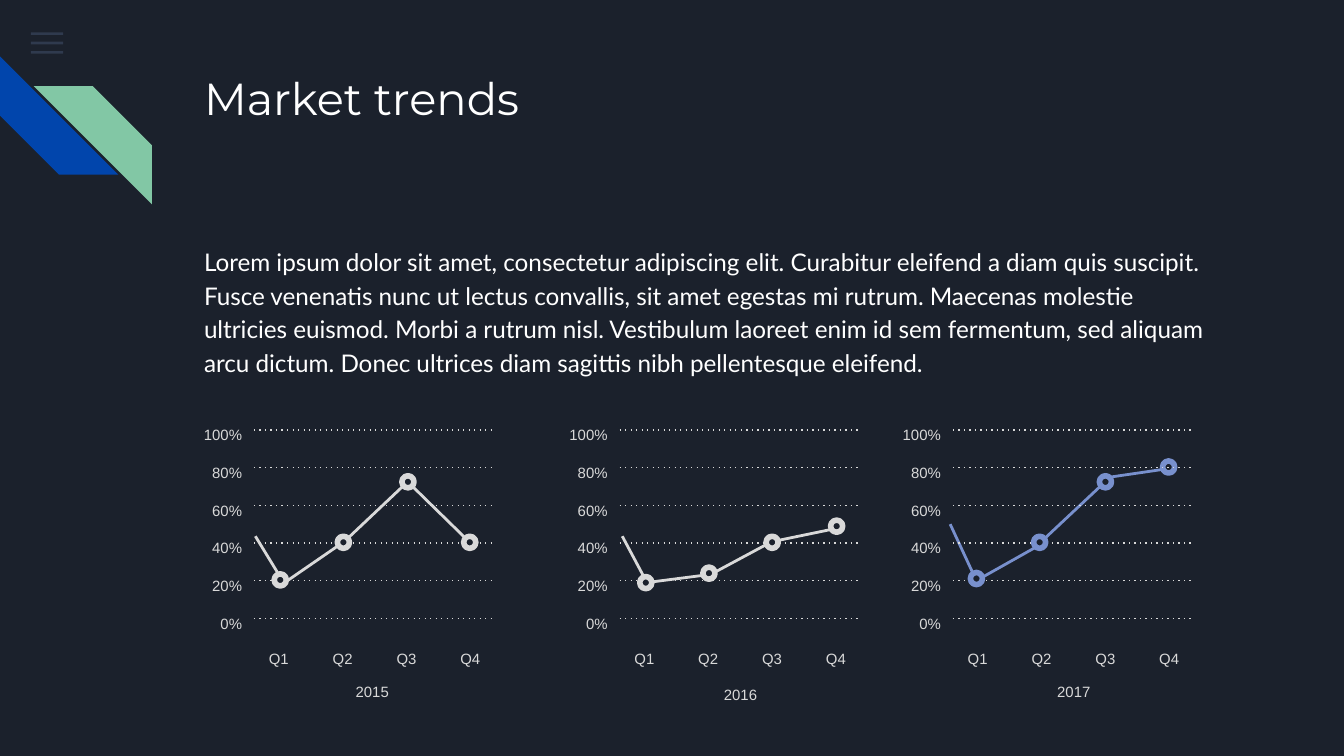
import pptx
import pptx.dml.color
import pptx.enum.shapes
import pptx.enum.text
import pptx.oxml.ns
import pptx.util
from lxml import etree
from pptx.util import Inches

COLORS = {
    "night": "1B212C",
    "menu": "55688B",
    "blue": "0145AC",
    "green": "82C7A5",
    "white": "FFFFFF",
    "grey": "D9D9D9",
    "periwinkle": "7890CD",
}
SHAPE = pptx.enum.shapes.MSO_SHAPE
ALIGN = pptx.enum.text.PP_ALIGN
qn = pptx.oxml.ns.qn

TITLE = {"name": "Montserrat", "size": pptx.util.Pt(24)}
BODY = {"name": "Lato", "size": pptx.util.Pt(13)}
LABEL = {"name": "Arial", "size": pptx.util.Pt(8)}
SPACED = {"line_spacing": 1.15, "space_after": pptx.util.Pt(16)}
FRAME = {
    "word_wrap": True,
    "vertical_anchor": pptx.enum.text.MSO_ANCHOR.TOP,
    **{f"margin_{side}": Inches(0.1) for side in ("left", "top", "right", "bottom")},
}
LABEL_FRAME = {**FRAME, "margin_top": Inches(0.13), "margin_bottom": Inches(0.05)}

GRID_TOP, GRID_STEP, GRID_WIDTH = 3.2, 0.28, 1.8
QUARTER_STEP = 0.475
MARKER = 0.09

LOREM = (
    "Lorem ipsum dolor sit amet, consectetur adipiscing elit. Curabitur eleifend a diam "
    "quis suscipit. Fusce venenatis nunc ut lectus convallis, sit amet egestas mi rutrum. "
    "Maecenas molestie ultricies euismod. Morbi a rutrum nisl. Vestibulum laoreet enim id "
    "sem fermentum, sed aliquam arcu dictum. Donec ultrices diam sagittis nibh "
    "pellentesque eleifend."
)

YEARS = [
    {
        "year": "2015", "year_at": (2.41, 4.93), "left": 1.89, "color": "grey",
        "trend": [(1.9, 3.99, 2.12, 4.35), (2.59, 4.01, 2.14, 4.32),
                  (2.52, 4.07, 3.07, 3.55), (3.07, 3.62, 3.53, 4.07)],
        "behind_grid": [],
        "markers": [(2.04, 4.27), (2.51, 3.99), (2.99, 3.54), (3.45, 3.99)],
    },
    {
        "year": "2016", "year_at": (5.15, 4.95), "left": 4.61, "color": "grey",
        "trend": [(4.63, 3.99, 4.79, 4.29), (5.32, 4.27, 4.85, 4.33),
                  (5.24, 4.3, 5.78, 4.01), (5.7, 4.04, 6.28, 3.92)],
        "behind_grid": [],
        "markers": [(4.76, 4.29), (5.23, 4.22), (5.7, 3.99), (6.18, 3.87)],
    },
    {
        "year": "2017", "year_at": (7.63, 4.93), "left": 7.09, "color": "periwinkle",
        "trend": [(7.07, 3.9, 7.26, 4.31), (7.71, 4.07, 7.23, 4.34),
                  (7.77, 4.01, 8.26, 3.55), (8.26, 3.55, 8.74, 3.48)],
        "behind_grid": [(8.65, 3.43)],
        "markers": [(7.22, 4.26), (7.69, 3.99), (8.18, 3.54)],
    },
]


def apply(target, values):
    for key, value in values.items():
        setattr(target, key, value)


class SlideBuilder:
    def __init__(self, slide, colors):
        self.slide = slide
        self.colors = colors

    def rgb(self, color):
        return pptx.dml.color.RGBColor.from_string(self.colors[color])

    def background(self, color):
        fill = self.slide.background.fill
        fill.solid()
        fill.fore_color.rgb = self.rgb(color)

    def shape(self, kind, left, top, width, height, color, alpha=None):
        shape = self.slide.shapes.add_shape(
            kind, Inches(left), Inches(top), Inches(width), Inches(height))
        shape.shadow.inherit = False
        shape.fill.solid()
        shape.fill.fore_color.rgb = self.rgb(color)
        shape.line.fill.background()
        if alpha is not None:
            tint = shape.element.spPr.find(f"{qn('a:solidFill')}/{qn('a:srgbClr')}")
            etree.SubElement(tint, qn("a:alpha"), val=str(alpha * 1000))
        return shape

    def marker(self, left, top, color):
        marker = self.shape(SHAPE.OVAL, left, top, MARKER, MARKER, "night")
        marker.line.color.rgb = self.rgb(color)
        marker.line.width = pptx.util.Pt(3)

    def text(self, words, left, top, width, height, font, color, paragraph_format,
             frame=FRAME):
        box = self.slide.shapes.add_textbox(
            Inches(left), Inches(top), Inches(width), Inches(height))
        apply(box.text_frame, frame)
        paragraph = box.text_frame.paragraphs[0]
        paragraph.text = words
        apply(paragraph, paragraph_format)
        apply(paragraph.font, font)
        paragraph.font.color.rgb = self.rgb(color)

    def label(self, words, left, top, width, height, paragraph_format):
        self.text(words, left, top, width, height, LABEL, "grey", paragraph_format,
                  LABEL_FRAME)

    def line(self, x1, y1, x2, y2, color, width, dash=None):
        line = self.slide.shapes.add_connector(
            pptx.enum.shapes.MSO_CONNECTOR.STRAIGHT,
            Inches(x1), Inches(y1), Inches(x2), Inches(y2))
        line.line.color.rgb = self.rgb(color)
        line.line.width = pptx.util.Pt(width)
        properties = line.element.spPr
        if dash:
            etree.SubElement(properties.find(qn("a:ln")), qn("a:prstDash"), val=dash)
        etree.SubElement(properties, qn("a:effectLst"))

    def year_panel(self, year, year_at, left, color, trend, behind_grid, markers):
        for index in range(4):
            self.label(f"Q{index + 1}", left + index * QUARTER_STEP, 4.7, 0.37, 0.21,
                       {"alignment": ALIGN.CENTER})
        self.label(year, *year_at, 0.72, 0.35, {"alignment": ALIGN.CENTER, **SPACED})
        for segment in trend:
            self.line(*segment, color, 1.5)
        for position in behind_grid:
            self.marker(*position, color)
        for index, percent in enumerate(range(100, -1, -20)):
            level = GRID_TOP + index * GRID_STEP
            self.label(f"{percent}%", left - 0.48, level - 0.16, 0.49, 0.21,
                       {"alignment": ALIGN.RIGHT})
            self.line(left, level, left + GRID_WIDTH, level, "grey", 0.75, "dot")
        for position in markers:
            self.marker(*position, color)


def main():
    deck = pptx.Presentation()
    deck.slide_width = Inches(10)
    deck.slide_height = deck.slide_width * 9 // 16
    builder = SlideBuilder(deck.slides.add_slide(deck.slide_layouts[6]), COLORS)
    builder.background("night")

    for index in range(3):
        builder.shape(SHAPE.RECTANGLE, 0.23, 0.24 + index * 0.07, 0.24, 0.02, "menu", 36)
    blue_stripe = builder.shape(SHAPE.DIAGONAL_STRIPE, 0, 0.42, 0.88, 0.88, "blue")
    blue_stripe.rotation = 270
    green_stripe = builder.shape(SHAPE.DIAGONAL_STRIPE, 0.25, 0.64, 0.88, 0.88, "green")
    green_stripe.element.spPr.find(qn("a:xfrm")).set("flipH", "1")

    builder.text("Market trends", 1.42, 0.43, 7.7, 1, TITLE, "white", {})
    builder.text(LOREM, 1.42, 1.71, 7.7, 1.21, BODY, "white", SPACED)
    for panel in YEARS:
        builder.year_panel(**panel)

    deck.save("out.pptx")


if __name__ == "__main__":
    main()
